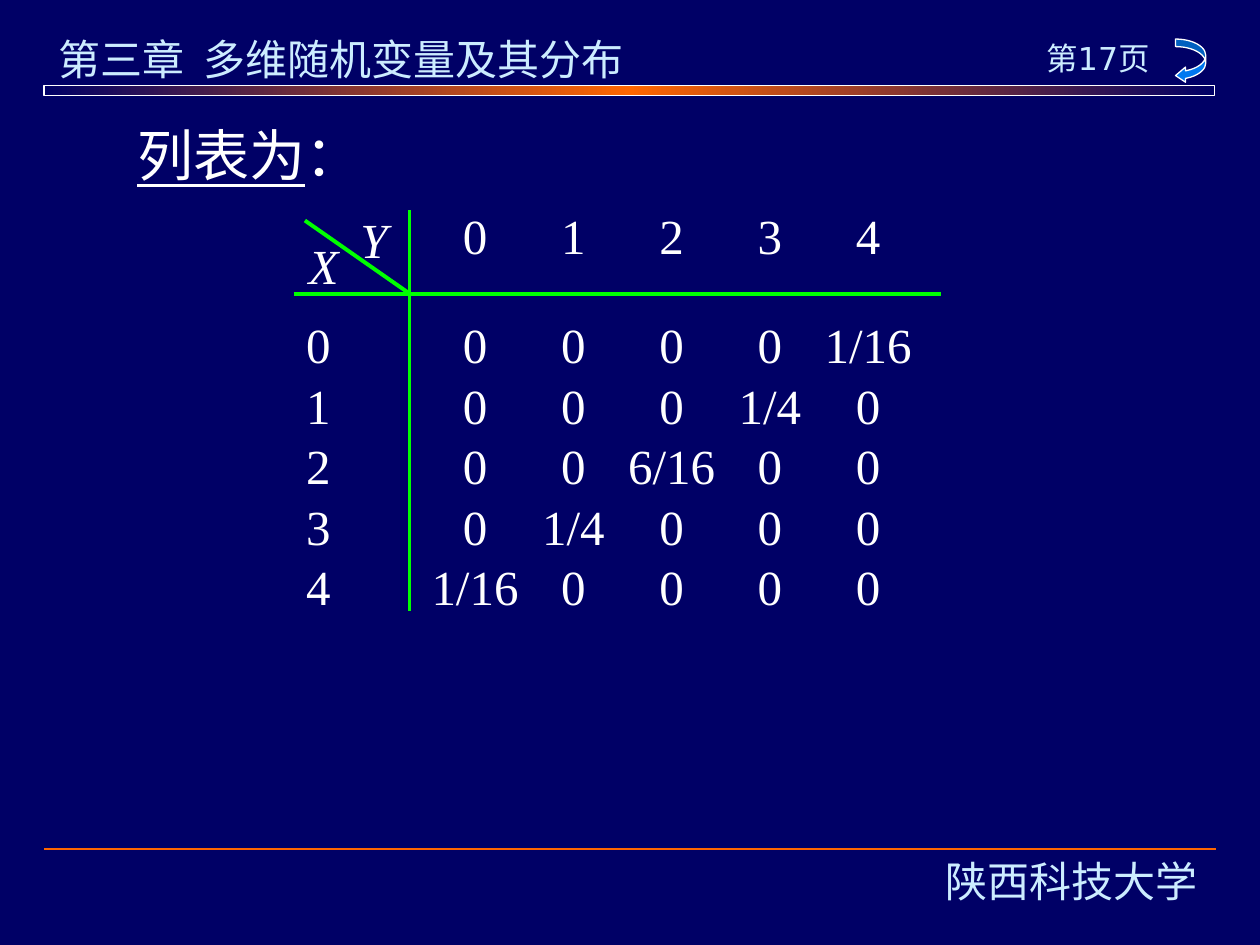
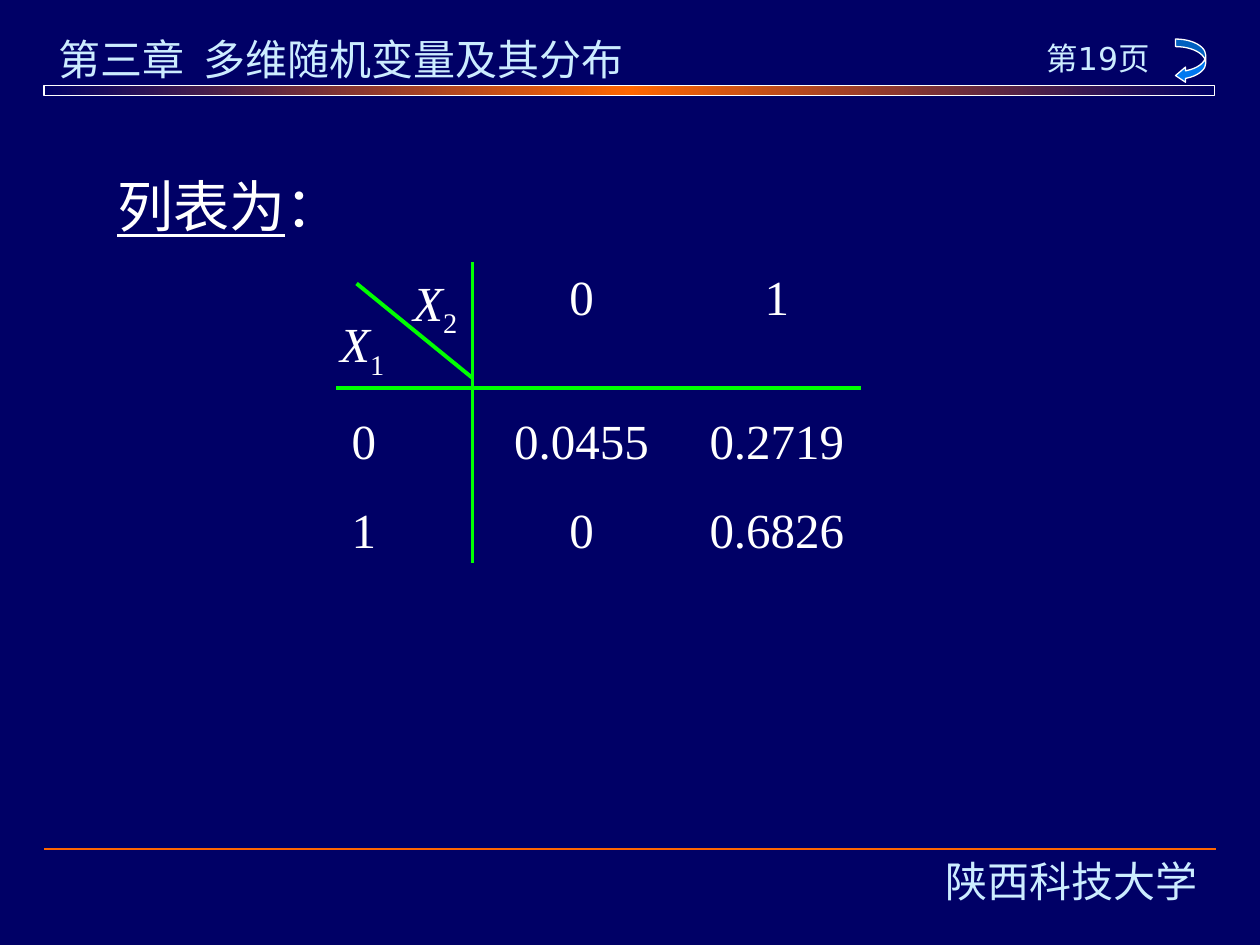
from copy import deepcopy
from dataclasses import dataclass

from lxml.etree import SubElement
from pptx import Presentation
from pptx.dml.color import RGBColor as RGB
from pptx.enum.shapes import MSO_CONNECTOR as LINE, MSO_SHAPE as SHAPE
from pptx.enum.text import MSO_ANCHOR as ANCHOR, PP_ALIGN as ALIGN
from pptx.oxml.ns import qn
from pptx.util import Inches, Pt

CHAPTER = "第三章  多维随机变量及其分布"
SCHOOL = "陕西科技大学"
HEADING = ("列表为", "：")

PAGES = [
    {
        "page": "第17页",
        "title": (0.99, 0.91),
        "heads": ["0", "1", "2", "3", "4"],
        "rows": [
            ("0", "0", "0", "0", "0", "1/16"),
            ("1", "0", "0", "0", "1/4", "0"),
            ("2", "0", "0", "6/16", "0", "0"),
            ("3", "0", "1/4", "0", "0", "0"),
            ("4", "1/16", "0", "0", "0", "0"),
        ],
        "origin": (2.33, 1.67),
        "widths": (1.05, 0.78),
        "heights": (0.87, 0.48),
        "labels": [("X", "", 2.45, 1.87), ("Y", "", 2.86, 1.66)],
        "rules": [
            (2.33, 2.33, 7.47, 2.33),
            (3.25, 1.67, 3.25, 4.85),
            (2.42, 1.75, 3.25, 2.33),
        ],
    },
    {
        "page": "第19页",
        "title": (0.83, 1.31),
        "heads": ["0", "1"],
        "rows": [("0", "0.0455", "0.2719"), ("1", "0", "0.6826")],
        "origin": (2.69, 2.16),
        "widths": (1.15, 1.55),
        "heights": (1.14, 0.71),
        "labels": [("X", "1", 2.7, 2.49), ("X", "2", 3.28, 2.16)],
        "rules": [
            (2.67, 3.08, 6.83, 3.08),
            (3.75, 2.08, 3.75, 4.47),
            (2.83, 2.25, 3.75, 3.0),
        ],
    },
]


@dataclass(frozen=True)
class Theme:
    navy: RGB = RGB(0x00, 0x00, 0x66)
    orange: RGB = RGB(0xFF, 0x66, 0x00)
    green: RGB = RGB(0x00, 0xFF, 0x00)
    blue: RGB = RGB(0x00, 0x78, 0xF0)
    pale: RGB = RGB(0xCC, 0xEC, 0xFF)
    white: RGB = RGB(0xFF, 0xFF, 0xFF)
    serif: str = "Times New Roman"
    title: int = 32
    body: int = 28
    band: int = 24
    page: int = 18


T = Theme()
NO_GRID = "{2D5ABB26-0587-4C30-8999-92F81FD0307C}"


def style(run, size, color=T.white, face=T.serif):
    font = run.font
    font.size, font.name, font.color.rgb = Pt(size), face, color


def add_text(slide, box, text, size, color, face, align=ALIGN.LEFT, wrap=True):
    frame = slide.shapes.add_textbox(*map(Inches, box)).text_frame
    frame.word_wrap = wrap
    frame.text = text
    para = frame.paragraphs[0]
    para.alignment = align
    style(para.runs[0], size, color, face)
    return frame


def add_rule(slide, ends, color, width):
    rule = slide.shapes.add_connector(LINE.STRAIGHT, *map(Inches, ends))
    rule.line.color.rgb, rule.line.width = color, Pt(width)
    SubElement(rule._element.spPr, qn("a:effectLst"))


def add_shape(slide, kind, box):
    shape = slide.shapes.add_shape(kind, *map(Inches, box))
    shape.shadow.inherit = False
    shape.line.color.rgb, shape.line.width = T.white, Pt(0.75)
    return shape


def add_bar(slide):
    fill = add_shape(slide, SHAPE.RECTANGLE, (0.35, 0.68, 9.29, 0.08)).fill
    fill.gradient()
    fill.gradient_angle = 0
    first = fill.gradient_stops[0]._gs
    first.getparent().append(deepcopy(first))
    tints = (T.navy, T.orange, T.navy)
    for i, (stop, tint) in enumerate(zip(fill.gradient_stops, tints)):
        stop.position, stop.color.rgb = i / 2, tint


def add_frame(slide, page):
    add_rule(slide, (0.35, 6.74, 9.65, 6.74), T.orange, 1)
    add_text(slide, (0.37, 0.22, 4.86, 0.5), CHAPTER, T.band, T.pale,
             "Comic Neue", wrap=False)
    add_bar(slide)
    add_text(slide, (7.26, 6.74, 2.49, 0.5), SCHOOL, T.band, T.pale,
             "Cabin", ALIGN.CENTER)
    add_text(slide, (8.1, 0.26, 1.23, 0.4), page, T.page, T.pale,
             "DejaVu Sans", ALIGN.CENTER)
    arrow = add_shape(slide, SHAPE.CURVED_LEFT_ARROW, (9.33, 0.31, 0.24, 0.35))
    arrow.adjustments[2] = 0.33
    arrow.fill.solid()
    arrow.fill.fore_color.rgb = T.blue


def set_title(slide, spot):
    title = slide.shapes.title
    title.left, title.top = map(Inches, spot)
    title.width, title.height = Inches(2.2), Inches(0.64)
    frame = title.text_frame
    frame.word_wrap, frame.vertical_anchor = False, ANCHOR.TOP
    para = frame.paragraphs[0]
    para.alignment = ALIGN.LEFT
    for i, part in enumerate(HEADING):
        run = para.add_run()
        run.text = part
        style(run, T.title)
        run.font.underline = i == 0


def add_grid(slide, data):
    grid = [["", *data["heads"]], *data["rows"]]
    rows, cols = len(grid), len(grid[0])
    widths = [data["widths"][c > 0] for c in range(cols)]
    heights = [data["heights"][r > 0] for r in range(rows)]
    box = (*data["origin"], sum(widths), sum(heights))
    table = slide.shapes.add_table(rows, cols, *map(Inches, box)).table
    table.first_row = table.horz_banding = False
    table._tbl.tblPr.find(qn("a:tableStyleId")).text = NO_GRID
    for col, width in zip(table.columns, widths):
        col.width = Inches(width)
    for r, (row, height) in enumerate(zip(table.rows, heights)):
        row.height = Inches(height)
        for c, cell in enumerate(row.cells):
            cell.fill.background()
            cell.margin_top = cell.margin_bottom = cell.margin_right = 0
            cell.margin_left = 0 if c else Inches(0.1)
            cell.text_frame.text = grid[r][c]
            para = cell.text_frame.paragraphs[0]
            para.alignment = ALIGN.CENTER if c else ALIGN.LEFT
            para.font.size = Pt(T.body)
            for run in para.runs:
                style(run, T.body)


def add_label(slide, name, sub, left, top):
    frame = add_text(slide, (left, top, 0.5, 0.45), name, T.body, T.white,
                     T.serif, wrap=False)
    frame.margin_left = frame.margin_right = 0
    frame.margin_top = frame.margin_bottom = 0
    para = frame.paragraphs[0]
    para.runs[0].font.italic = True
    if sub:
        run = para.add_run()
        run.text = sub
        style(run, T.body)
        run._r.get_or_add_rPr().set("baseline", "-25000")


def main():
    deck = Presentation()
    deck.slide_width, deck.slide_height = Inches(10), Inches(7.5)
    back = deck.slide_master.background.fill
    back.solid()
    back.fore_color.rgb = T.navy
    for data in PAGES:
        slide = deck.slides.add_slide(deck.slide_layouts[5])
        add_frame(slide, data["page"])
        set_title(slide, data["title"])
        add_grid(slide, data)
        for label in data["labels"]:
            add_label(slide, *label)
        for ends in data["rules"]:
            add_rule(slide, ends, T.green, 2.25)
    deck.save("out.pptx")


if __name__ == "__main__":
    main()
